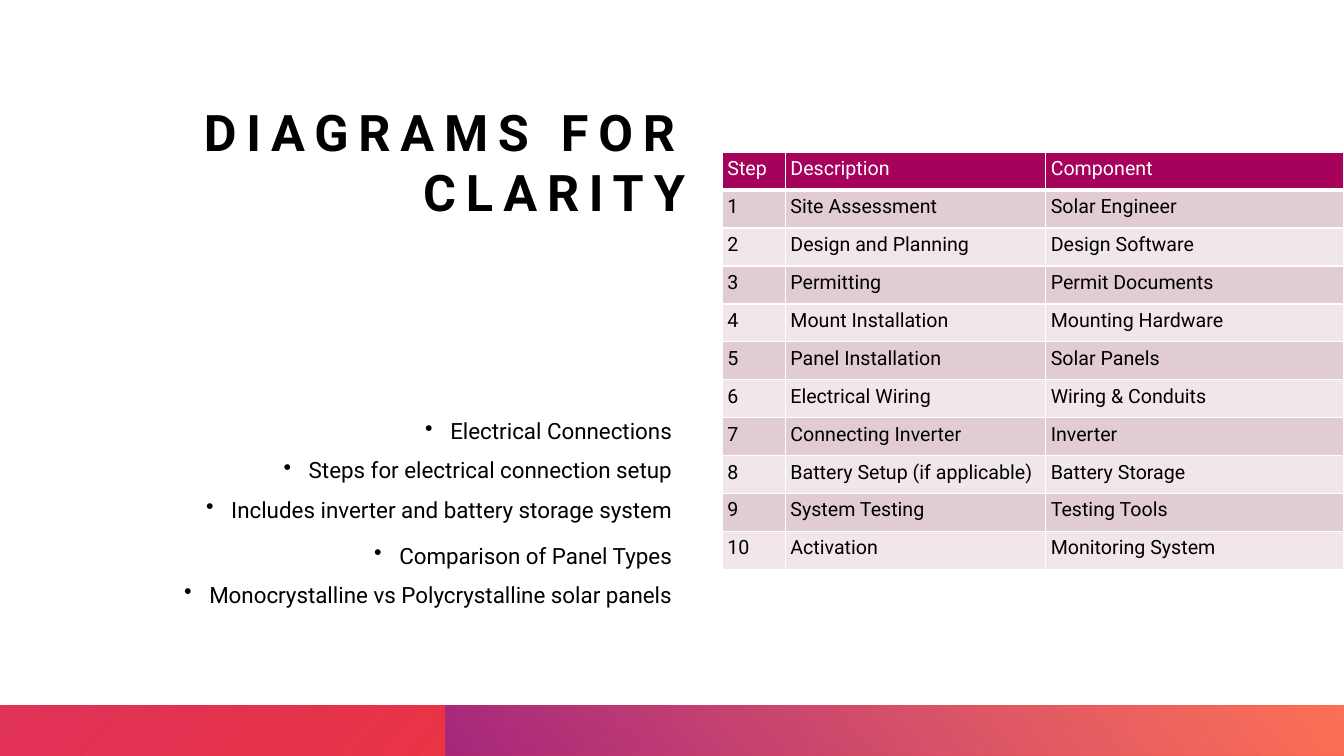
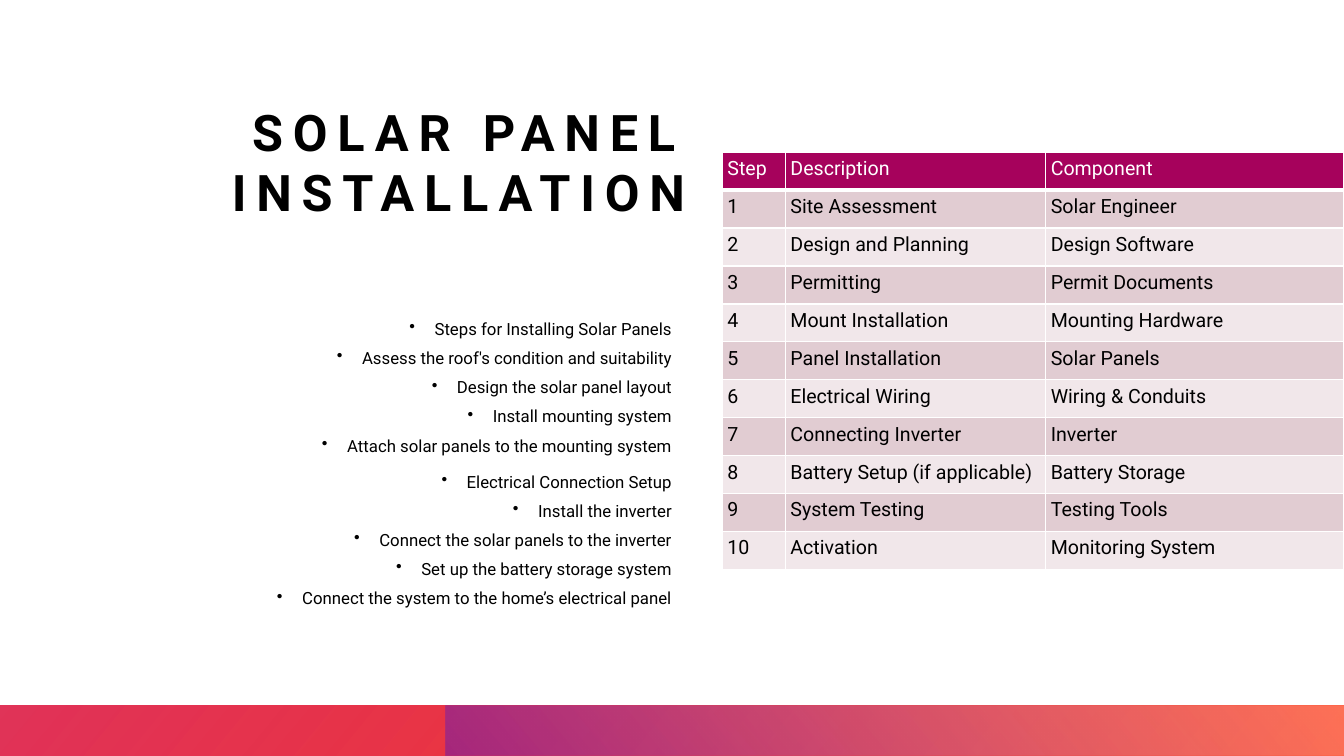
from pptx import Presentation
from pptx.dml.color import RGBColor
from pptx.enum.shapes import MSO_SHAPE
from pptx.enum.text import MSO_ANCHOR, PP_ALIGN
from pptx.oxml import parse_xml
from pptx.oxml.ns import nsdecls, qn
from pptx.util import Inches, Pt

RECTANGLE = MSO_SHAPE.RECTANGLE
TOP, BOTTOM = MSO_ANCHOR.TOP, MSO_ANCHOR.BOTTOM
LEFT, RIGHT = PP_ALIGN.LEFT, PP_ALIGN.RIGHT

FONT = "Roboto"
BLACK, WHITE = "000000", "FFFFFF"
HEADER, BAND_DARK, BAND_LIGHT = "A6025C", "E1CCD2", "F1E7EA"
COLUMNS, ROWS = 80, 45
FOOTER_ROW, FOOTER_SPLIT = 42, 26.5
MARGIN, TABLE_LEFT = 7, 43

STEPS = [
    ("Step", "Description", "Component"),
    ("1", "Site Assessment", "Solar Engineer"),
    ("2", "Design and Planning", "Design Software"),
    ("3", "Permitting", "Permit Documents"),
    ("4", "Mount Installation", "Mounting Hardware"),
    ("5", "Panel Installation", "Solar Panels"),
    ("6", "Electrical Wiring", "Wiring & Conduits"),
    ("7", "Connecting Inverter", "Inverter"),
    ("8", "Battery Setup (if applicable)", "Battery Storage"),
    ("9", "System Testing", "Testing Tools"),
    ("10", "Activation", "Monitoring System"),
]

DIAGRAM_POINTS = [
    ("Electrical Connections", [
        "Steps for electrical connection setup",
        "Includes inverter and battery storage system",
    ]),
    ("Comparison of Panel Types", [
        "Monocrystalline vs Polycrystalline solar panels",
    ]),
]

INSTALLATION_POINTS = [
    ("Steps for Installing Solar Panels", [
        "Assess the roof's condition and suitability",
        "Design the solar panel layout",
        "Install mounting system",
        "Attach solar panels to the mounting system",
    ]),
    ("Electrical Connection Setup", [
        "Install the inverter",
        "Connect the solar panels to the inverter",
        "Set up the battery storage system",
        "Connect the system to the home’s electrical panel",
    ]),
]


def color(value):
    return RGBColor.from_string(value)


def grid(units):
    return Inches(units / 6)


def write(paragraph, text, size=14, fill=BLACK, bold=False, align=LEFT,
          tracking=0, line=1.0, before=0, bullet_level=None):
    paragraph.alignment = align
    paragraph.line_spacing = line
    paragraph.space_before = Pt(before)
    if bullet_level is not None:
        paragraph.level = bullet_level
        properties = paragraph._p.get_or_add_pPr()
        properties.set("marL", str(Inches(0.25 + 0.5 * bullet_level)))
        properties.set("indent", str(Inches(-0.25)))
        properties.append(parse_xml(f'<a:buChar {nsdecls("a")} char="•"/>'))
    span = paragraph.add_run()
    span.text = text
    span.font.name = FONT
    span.font.size = Pt(size)
    span.font.bold = bold
    span.font.color.rgb = color(fill)
    if tracking:
        span._r.get_or_add_rPr().set("spc", str(tracking * 100))


class SolarDeck:
    """Holds the shared style and the slide being built."""

    def __init__(self):
        self.deck = Presentation()
        self.deck.slide_width = grid(COLUMNS)
        self.deck.slide_height = grid(ROWS)
        self.page = None

    def new_page(self, title):
        self.page = self.deck.slides.add_slide(self.deck.slide_layouts[6])
        self.title(title)
        self.band(0, 40, [("DA002F", 0, 80), ("FF411C", 1, 100)])
        self.band(FOOTER_SPLIT, 140, [("FF907A", 0, 61), ("92248E", 0.99, 77)])

    def band(self, left, clockwise, stops):
        band = self.page.shapes.add_shape(
            RECTANGLE, grid(left), grid(FOOTER_ROW),
            grid(COLUMNS - left), grid(ROWS - FOOTER_ROW))
        band.shadow.inherit = False
        band.line.fill.background()
        band.fill.gradient()
        band.fill.gradient_angle = 360 - clockwise
        for stop, (value, position, _) in zip(band.fill.gradient_stops, stops):
            stop.color.rgb = color(value)
            stop.position = position
        tints = band._element.spPr.iter(qn("a:srgbClr"))
        for tint, (_, _, opacity) in zip(tints, stops):
            tint.append(parse_xml(f'<a:alpha {nsdecls("a")} val="{opacity * 1000}"/>'))

    def frame(self, left, top, width, height, anchor=TOP):
        box = self.page.shapes.add_textbox(
            grid(left), grid(top), grid(width), grid(height))
        frame = box.text_frame
        frame.word_wrap = True
        frame.vertical_anchor = anchor
        frame.margin_left = frame.margin_right = 0
        frame.margin_top = frame.margin_bottom = 0
        return frame

    def title(self, text):
        frame = self.frame(MARGIN, 6, 33.8, 11.2)
        write(frame.paragraphs[0], text, size=36, bold=True, align=RIGHT, tracking=7)

    def bullets(self, groups, size, line):
        frame = self.frame(MARGIN, 18.1, 33, 18.1, anchor=BOTTOM)
        points = [(text, level) for heading, details in groups
                  for text, level in [(heading, 0)] + [(item, 1) for item in details]]
        for index, (text, level) in enumerate(points):
            paragraph = frame.add_paragraph() if index else frame.paragraphs[0]
            before = (10, 5)[level] if index else 0
            write(paragraph, text, size=size, line=line, align=RIGHT,
                  before=before, bullet_level=level)

    def table(self, rows, widths, top=9.06, row_height=2.26):
        table = self.page.shapes.add_table(
            len(rows), len(widths), grid(TABLE_LEFT), grid(top),
            grid(sum(widths)), grid(row_height * len(rows))).table
        for column, width in zip(table.columns, widths):
            column.width = grid(width)
        for number, texts in enumerate(rows):
            table.rows[number].height = grid(row_height)
            fill = (BAND_DARK if number % 2 else BAND_LIGHT) if number else HEADER
            for position, text in enumerate(texts):
                self.cell(table.cell(number, position), text, fill, header=number == 0)

    def cell(self, cell, text, fill, header):
        cell.margin_left = cell.margin_right = Inches(0.05)
        cell.margin_top = cell.margin_bottom = Inches(0.05)
        cell.fill.solid()
        cell.fill.fore_color.rgb = color(fill)
        write(cell.text_frame.paragraphs[0], text, fill=WHITE if header else BLACK)
        properties = cell._tc.get_or_add_tcPr()
        for index, side in enumerate("LRTB"):
            width = Pt(3 if header and side == "B" else 1)
            properties.insert(index, parse_xml(
                f'<a:ln{side} {nsdecls("a")} w="{width}"><a:solidFill>'
                f'<a:srgbClr val="{WHITE}"/></a:solidFill></a:ln{side}>'))


def main():
    solar = SolarDeck()
    for title, points, size, line in [
        ("DIAGRAMS FOR CLARITY", DIAGRAM_POINTS, 16, 1.2),
        ("SOLAR PANEL INSTALLATION", INSTALLATION_POINTS, 12, 1.1),
    ]:
        solar.new_page(title)
        solar.bullets(points, size, line)
        solar.table(STEPS, widths=(3.75, 15.5, 17.75))
    solar.deck.save("out.pptx")


if __name__ == "__main__":
    main()
